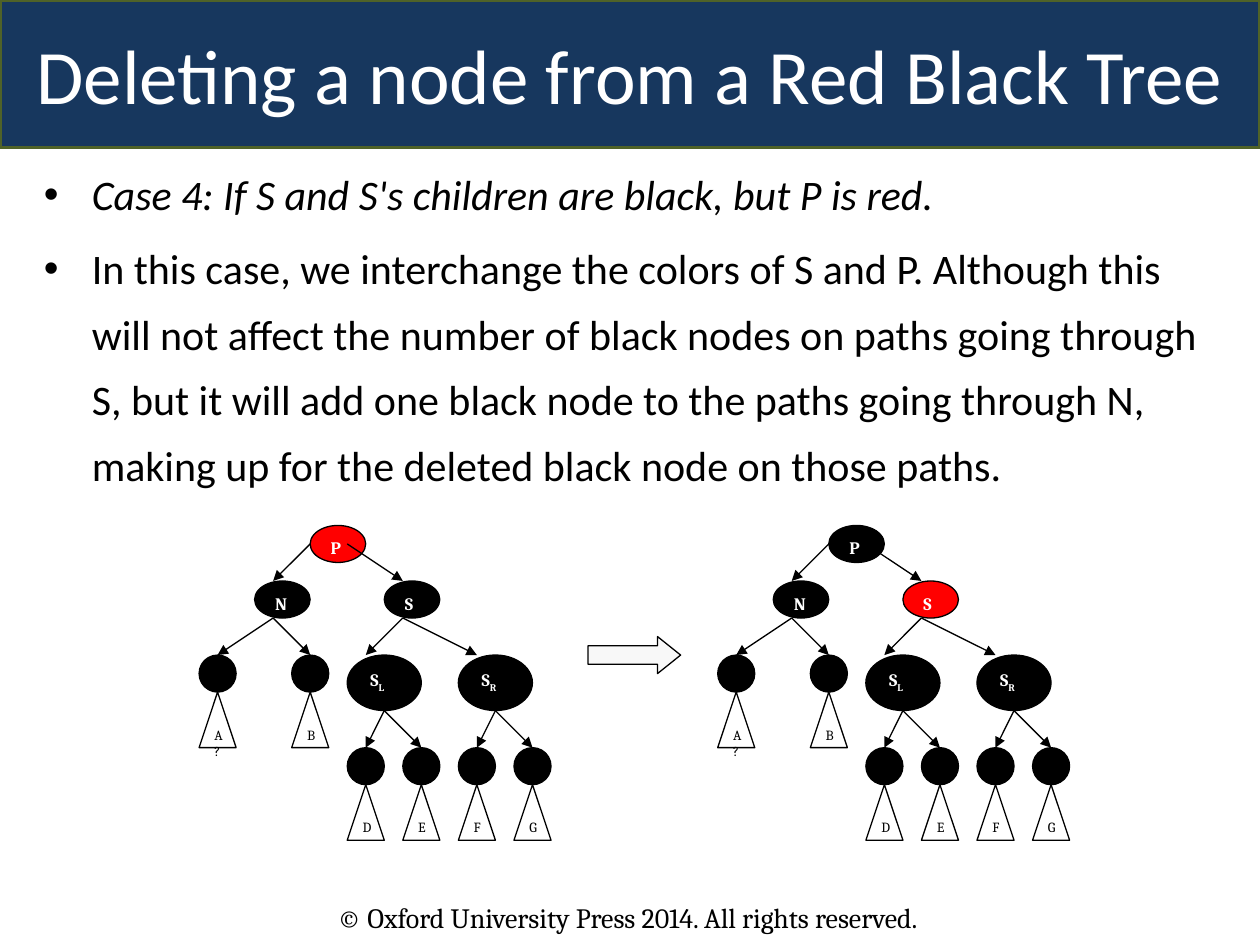
from typing import NamedTuple

from lxml import etree
from pptx import Presentation
from pptx.dml.color import RGBColor
from pptx.enum.shapes import MSO_CONNECTOR, MSO_SHAPE
from pptx.enum.text import MSO_ANCHOR, MSO_AUTO_SIZE, PP_ALIGN
from pptx.oxml.ns import qn
from pptx.util import Inches, Pt

ELLIPSE = MSO_SHAPE.OVAL
TRIANGLE = MSO_SHAPE.FLOWCHART_EXTRACT
ARROW = MSO_SHAPE.RIGHT_ARROW
BANNER = MSO_SHAPE.ROUNDED_RECTANGLE
STRAIGHT = MSO_CONNECTOR.STRAIGHT

NAVY = RGBColor(0x17, 0x37, 0x5E)
OLIVE = RGBColor(0x4F, 0x62, 0x28)
RED = RGBColor(0xFF, 0x00, 0x00)
BLACK = RGBColor(0x00, 0x00, 0x00)
WHITE = RGBColor(0xFF, 0xFF, 0xFF)
PALE = RGBColor(0xF8, 0xF8, 0xF8)

# The diagram sits on a square grid; trees and nodes are placed in its cells.
CELL = Inches(0.147)
GRID_LEFT, GRID_TOP = Inches(1.58), Inches(4.17)
TREE_COLUMNS = (0, 28)


class Node(NamedTuple):
    label: str
    column: float
    row: float
    columns: float = 3
    rows: float = 2
    subscript: str = ""


class Edge(NamedTuple):
    start: tuple[float, float]
    end: tuple[float, float]


class Leaf(NamedTuple):
    label: str
    column: float
    row: float


ROOT = Node("P", 6, 0)
INNER_NODES = (
    Node("N", 3, 3),
    Node("S", 10, 3),
    Node("S", 8, 7, 4, 3, "L"),
    Node("S", 14, 7, 4, 3, "R"),
)
EDGES = (
    Edge((6, 1), (4, 3)), Edge((8, 1), (11, 3)),
    Edge((4, 5), (1, 7)), Edge((4, 5), (6, 7)),
    Edge((11, 5), (9, 7)), Edge((11, 5), (15, 7)),
    Edge((10, 10), (9, 12)), Edge((10, 10), (12, 12)),
    Edge((16, 10), (15, 12)), Edge((16, 10), (18, 12)),
)
LEAVES = (
    Leaf("A?", 0, 7), Leaf("B", 5, 7),
    Leaf("D", 8, 12), Leaf("E", 11, 12), Leaf("F", 14, 12), Leaf("G", 17, 12),
)


def grid_point(column: float, row: float) -> tuple[int, int]:
    return int(GRID_LEFT + column * CELL), int(GRID_TOP + row * CELL)


def format_font(font, name: str, size: float, color: RGBColor) -> None:
    font.name, font.size = name, Pt(size)
    font.color.rgb = color


def style_shape(shape, fill: RGBColor, line: RGBColor, line_width: float) -> None:
    shape.shadow.inherit = False
    shape.fill.solid()
    shape.fill.fore_color.rgb = fill
    shape.line.color.rgb = line
    shape.line.width = Pt(line_width)


def add_grid_shape(page, kind, column: float, row: float, columns: float,
                   rows: float, fill: RGBColor):
    shape = page.shapes.add_shape(kind, *grid_point(column, row),
                                  int(columns * CELL), int(rows * CELL))
    style_shape(shape, fill, BLACK, 0.75)
    return shape


def write_label(shape, text: str, size: float, color: RGBColor):
    shape.text_frame.text = text
    shape.text_frame.vertical_anchor = MSO_ANCHOR.TOP
    para = shape.text_frame.paragraphs[0]
    para.alignment = PP_ALIGN.LEFT
    format_font(para.runs[0].font, "Cambria", size, color)
    return para


def add_node(page, node: Node, offset: float, fill: RGBColor) -> None:
    shape = add_grid_shape(page, ELLIPSE, offset + node.column, node.row,
                           node.columns, node.rows, fill)
    para = write_label(shape, node.label, 10, WHITE)
    if node.subscript:
        span = para.add_run()
        span.text = node.subscript
        format_font(span.font, "Cambria", 10, WHITE)
        span.font._element.set("baseline", "-25000")
    for span in para.runs:
        span.font.bold = True


def add_edge(page, edge: Edge, offset: float) -> None:
    (start_column, start_row), (end_column, end_row) = edge
    line = page.shapes.add_connector(
        STRAIGHT, *grid_point(offset + start_column, start_row),
        *grid_point(offset + end_column, end_row))
    line.line.color.rgb = BLACK
    line.line.width = Pt(0.75)
    etree.SubElement(line.line._get_or_add_ln(), qn("a:tailEnd"), type="triangle")
    etree.SubElement(line._element.spPr, qn("a:effectLst"))


def add_leaf(page, leaf: Leaf, offset: float) -> None:
    """Draw a black node with its labelled subtree below."""
    column = offset + leaf.column
    add_grid_shape(page, ELLIPSE, column, leaf.row, 2, 2, BLACK)
    subtree = add_grid_shape(page, TRIANGLE, column, leaf.row + 2, 2, 3, WHITE)
    write_label(subtree, leaf.label, 8, BLACK)


def add_tree(page, offset: float, red_label: str) -> None:
    def node_color(node: Node) -> RGBColor:
        return RED if node.label == red_label and not node.subscript else BLACK

    add_node(page, ROOT, offset, node_color(ROOT))
    for edge in EDGES:
        add_edge(page, edge, offset)
    for node in INNER_NODES:
        add_node(page, node, offset, node_color(node))
    for leaf in LEAVES:
        add_leaf(page, leaf, offset)


def add_title(page, width: int, height: int) -> None:
    banner = page.shapes.add_shape(BANNER, 0, 0, width, height)
    banner.adjustments[0] = 0
    style_shape(banner, NAVY, OLIVE, 2)
    banner.text_frame.text = "Deleting a node from a Red Black Tree"
    para = banner.text_frame.paragraphs[0]
    para.alignment = PP_ALIGN.CENTER
    format_font(para.runs[0].font, "Calibri", 44, WHITE)


def add_body(page) -> None:
    box = page.shapes.add_textbox(Inches(0.25), Inches(1.17), Inches(9.58), Inches(1.58))
    frame = box.text_frame
    frame.word_wrap = True
    frame.text = (
        "Case 4: If S and S's children are black, but P is red.\n"
        "In this case, we interchange the colors of S and P. Although this will not "
        "affect the number of black nodes on paths going through S, but it will add "
        "one black node to the paths going through N, making up for the deleted "
        "black node on those paths.")
    case, explanation = frame.paragraphs
    for para in (case, explanation):
        para.line_spacing = 1.3
        properties = para._p.get_or_add_pPr()
        properties.set("marL", str(Inches(0.38)))
        properties.set("indent", str(-Inches(0.38)))
        etree.SubElement(properties, qn("a:buFont"), typeface="Arial")
        etree.SubElement(properties, qn("a:buChar"), char="•")
        format_font(para.runs[0].font, "Calibri", 24, BLACK)
    case.runs[0].font.italic = True
    explanation.space_before = Pt(4.8)


def add_footer(page) -> None:
    box = page.shapes.add_textbox(Inches(2.58), Inches(7.1), Inches(5.92), Inches(0.37))
    box.text_frame.word_wrap = True
    box.text_frame.auto_size = MSO_AUTO_SIZE.SHAPE_TO_FIT_TEXT
    write_label(box, "© Oxford University Press 2014. All rights reserved.", 16, BLACK)


def main() -> None:
    deck = Presentation()
    deck.slide_width, deck.slide_height = Inches(10), Inches(7.5)
    page = deck.slides.add_slide(deck.slide_layouts[6])
    add_footer(page)
    add_title(page, deck.slide_width, Inches(1.17))
    add_body(page)
    for offset, red_label in zip(TREE_COLUMNS, ("P", "S")):
        add_tree(page, offset, red_label)
    arrow = add_grid_shape(page, ARROW, 21, 6, 5, 2, PALE)
    arrow.adjustments[1] = 0.625
    deck.save("out.pptx")


if __name__ == "__main__":
    main()
